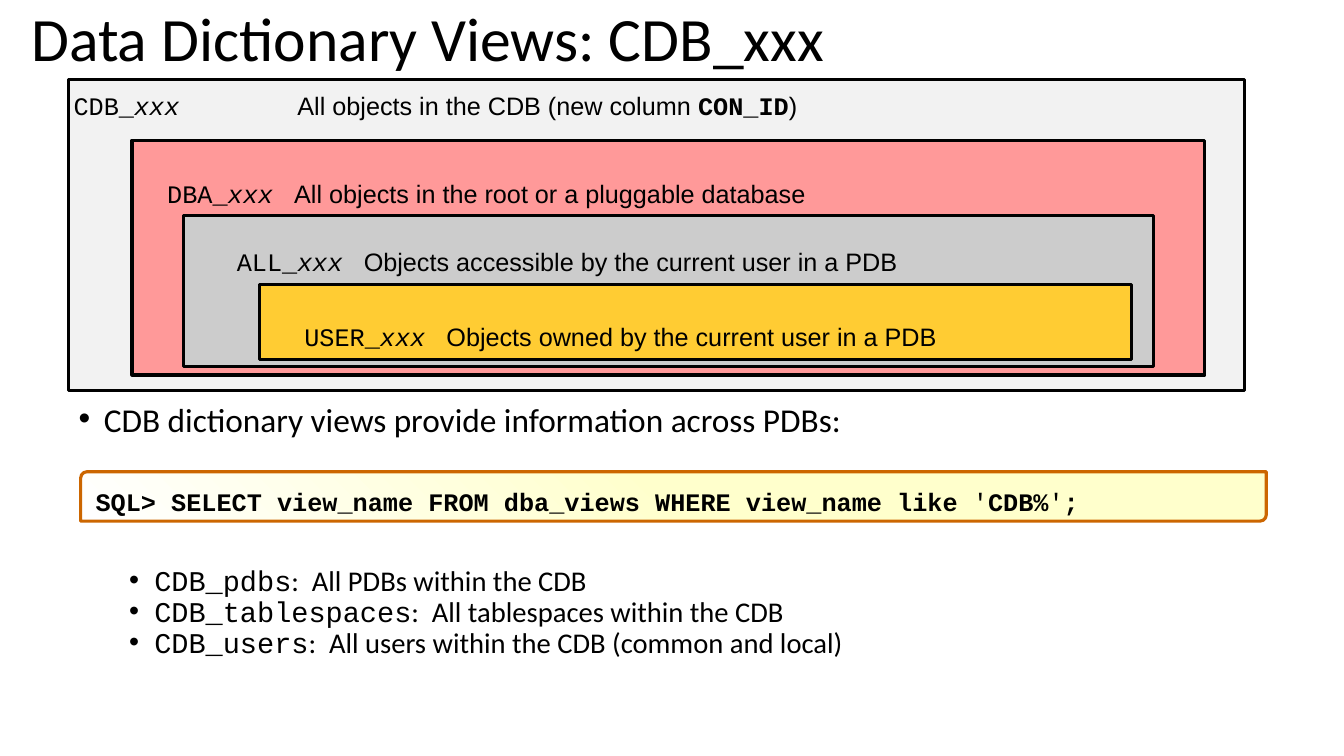
from copy import deepcopy

from lxml.etree import SubElement
from pptx import Presentation
from pptx.dml.color import RGBColor
from pptx.enum.shapes import MSO_SHAPE as Preset
from pptx.enum.text import MSO_ANCHOR as Anchor, MSO_AUTO_SIZE as AutoSize, PP_ALIGN as Align
from pptx.oxml.ns import qn
from pptx.util import Inches, Pt

BLACK = RGBColor(0x00, 0x00, 0x00)
WHITE = RGBColor(0xFF, 0xFF, 0xFF)
PALE_GRAY = RGBColor(0xF2, 0xF2, 0xF2)
PINK = RGBColor(0xFF, 0x99, 0x99)
GRAY = RGBColor(0xCC, 0xCC, 0xCC)
GOLD = RGBColor(0xFF, 0xCC, 0x33)
CREAM = RGBColor(0xFF, 0xFF, 0xCC)
ORANGE = RGBColor(0xCC, 0x66, 0x00)

SANS, BODY, MONO = "Arial", "Calibri", "Courier New"

SCOPES = [
    ((0.68, 0.79, 11.66, 3.08), PALE_GRAY),
    ((1.31, 1.39, 10.64, 2.33), PINK),
    ((1.82, 2.14, 9.62, 1.5), GRAY),
    ((2.57, 2.82, 8.65, 0.75), GOLD),
]
LABELS = [
    ("USER_", "Objects owned by the current user in a PDB", (2.92, 3.08, 6.53, 0.47)),
    ("ALL_", "Objects accessible by the current user in a PDB", (2.25, 2.33, 6.81, 0.47)),
    ("DBA_", "All objects in the root or a pluggable database", (1.56, 1.66, 6.57, 0.47)),
]
VIEWS = [
    ("CDB_pdbs", ":  All PDBs within the CDB"),
    ("CDB_tablespaces", ":  All tablespaces within the CDB"),
    ("CDB_users", ":  All users within the CDB (common and local)"),
]


def add_text(paragraph, text, font=SANS, size=18, bold=False, italic=False):
    """Append a formatted run to a paragraph."""
    run = paragraph.add_run()
    run.text = text
    run.font.name, run.font.size = font, Pt(size)
    run.font.bold, run.font.italic = bold, italic
    run.font.color.rgb = BLACK


def place(part, box):
    """Move and size a part of the slide."""
    part.left, part.top, part.width, part.height = map(Inches, box)


def set_frame(frame, insets, anchor=Anchor.TOP):
    """Set the insets, wrapping and anchor of a text frame."""
    frame.word_wrap, frame.auto_size = True, AutoSize.NONE
    frame.vertical_anchor = anchor
    (frame.margin_left, frame.margin_top,
     frame.margin_right, frame.margin_bottom) = map(Inches, insets)


def set_indent(paragraph, left, hanging):
    """Give a paragraph a hanging indent."""
    properties = paragraph._p.get_or_add_pPr()
    properties.set("marL", str(Inches(left)))
    properties.set("indent", str(-Inches(hanging)))


def add_outlined(slide, preset, box, line, adjustments):
    """Add an outlined preset shape without shadow."""
    shape = slide.shapes.add_shape(preset, *map(Inches, box))
    shape.shadow.inherit = False
    shape.line.color.rgb, shape.line.width = line, Pt(2.25)
    for index, value in enumerate(adjustments):
        shape.adjustments[index] = value
    return shape


def add_scope(slide, box, color):
    """Add one of the nested rectangles."""
    scope = add_outlined(slide, Preset.ROUNDED_RECTANGLE, box, BLACK, [0])
    scope.fill.solid()
    scope.fill.fore_color.rgb = color
    return scope


def write_label(frame, prefix, description, side_inset, tab):
    """Write a view prefix and, at a tab stop, its description."""
    set_frame(frame, (side_inset, 0.05, side_inset, 0.05))
    label = frame.paragraphs[0]
    label.alignment, label.line_spacing = Align.LEFT, 1.2
    properties = label._p.get_or_add_pPr()
    before = SubElement(properties, qn("a:spcBef"))
    SubElement(before, qn("a:spcPct"), val="60000")
    tabs = SubElement(properties, qn("a:tabLst"))
    SubElement(tabs, qn("a:tab"), pos=str(Inches(tab)), algn="l")
    add_text(label, prefix, font=MONO)
    add_text(label, "xxx", font=MONO, italic=True)
    add_text(label, "\t" + description)
    return label


def add_bullet(paragraph, runs, size, left, before):
    """Write a bulleted paragraph from (text, font) runs."""
    paragraph.line_spacing, paragraph.space_before = 0.7, Pt(before)
    paragraph.alignment = Align.LEFT
    set_indent(paragraph, left, 0.25)
    properties = paragraph._p.get_or_add_pPr()
    SubElement(properties, qn("a:buFont"), typeface=SANS)
    SubElement(properties, qn("a:buChar"), char="•")
    for text, font in runs:
        add_text(paragraph, text, font=font, size=size)


def write_title(title):
    """Fill the title placeholder."""
    place(title, (0.21, 0, 9.06, 0.83))
    set_frame(title.text_frame, (0.1, 0.05, 0.1, 0.05), Anchor.MIDDLE)
    heading = title.text_frame.paragraphs[0]
    heading.alignment, heading.line_spacing = Align.LEFT, 0.9
    add_text(heading, "Data Dictionary Views: CDB_xxx", font=BODY, size=44)


def write_body(body):
    """Fill the body placeholder with the bullets around the query."""
    place(body, (0.68, 4.02, 11.97, 2.65))
    frame = body.text_frame
    set_frame(frame, (0.1, 0.05, 0.1, 0.05))
    add_bullet(frame.paragraphs[0],
               [("CDB dictionary views provide information across PDBs:", BODY)], 23.8, 0.25, 0)
    for index, (view, meaning) in enumerate(VIEWS):
        item = frame.add_paragraph()
        item.level = 1
        add_bullet(item, [(view, MONO), (meaning, BODY)], 20.4, 0.75, 5 if index else 96)


def add_query(slide):
    """Add the SQL statement on its gradient panel."""
    panel = add_outlined(slide, Preset.ROUND_2_DIAG_RECTANGLE,
                         (0.8, 4.68, 11.76, 0.49), ORANGE, [0.13, 0])
    panel.fill.gradient()
    panel.fill.gradient_angle = 225
    stops = panel.fill.gradient_stops
    for stop, color, position in zip(stops, (CREAM, WHITE), (0, 1)):
        stop.color.rgb, stop.position = color, position
    first = panel._element.spPr.find(".//" + qn("a:gs"))
    middle = deepcopy(first)
    middle.set("pos", "50000")
    first.addnext(middle)
    set_frame(panel.text_frame, (0.13, 0.13, 0.02, 0.02))
    query = panel.text_frame.paragraphs[0]
    query.alignment = Align.LEFT
    set_indent(query, 0.5, 0.5)
    for text in ("SQL> SELECT view_name FROM dba_views WHERE view_name like ", "'", "CDB%", "'", ";"):
        add_text(query, text, font=MONO, bold=text != "'")


def main():
    """Build and save the slide."""
    deck = Presentation()
    deck.slide_width, deck.slide_height = Inches(13.33), Inches(7.5)
    slide = deck.slides.add_slide(deck.slide_layouts[1])
    write_title(slide.shapes.title)
    write_body(slide.placeholders[1])
    outer, *_ = [add_scope(slide, box, color) for box, color in SCOPES]
    label = write_label(outer.text_frame, "CDB_", "All objects in the CDB (new column ", 0.05, 2.22)
    add_text(label, "CON_ID", font=MONO, bold=True)
    add_text(label, ")")
    for prefix, description, box in LABELS:
        frame = slide.shapes.add_textbox(*map(Inches, box)).text_frame
        write_label(frame, prefix, description, 0.1, 0.15 * len(prefix + "xxx") + 0.21)
    add_query(slide)
    deck.save("out.pptx")


if __name__ == "__main__":
    main()
